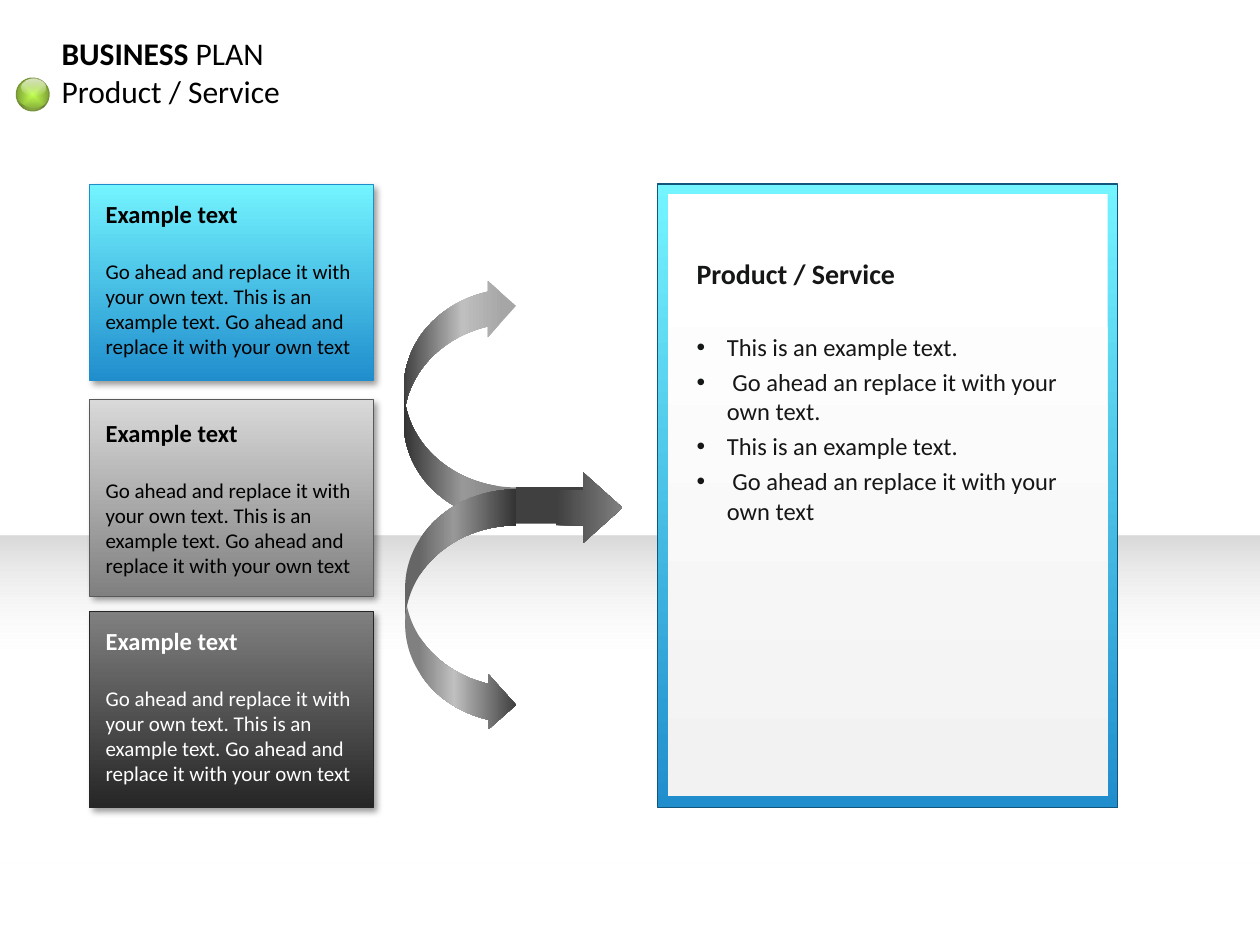
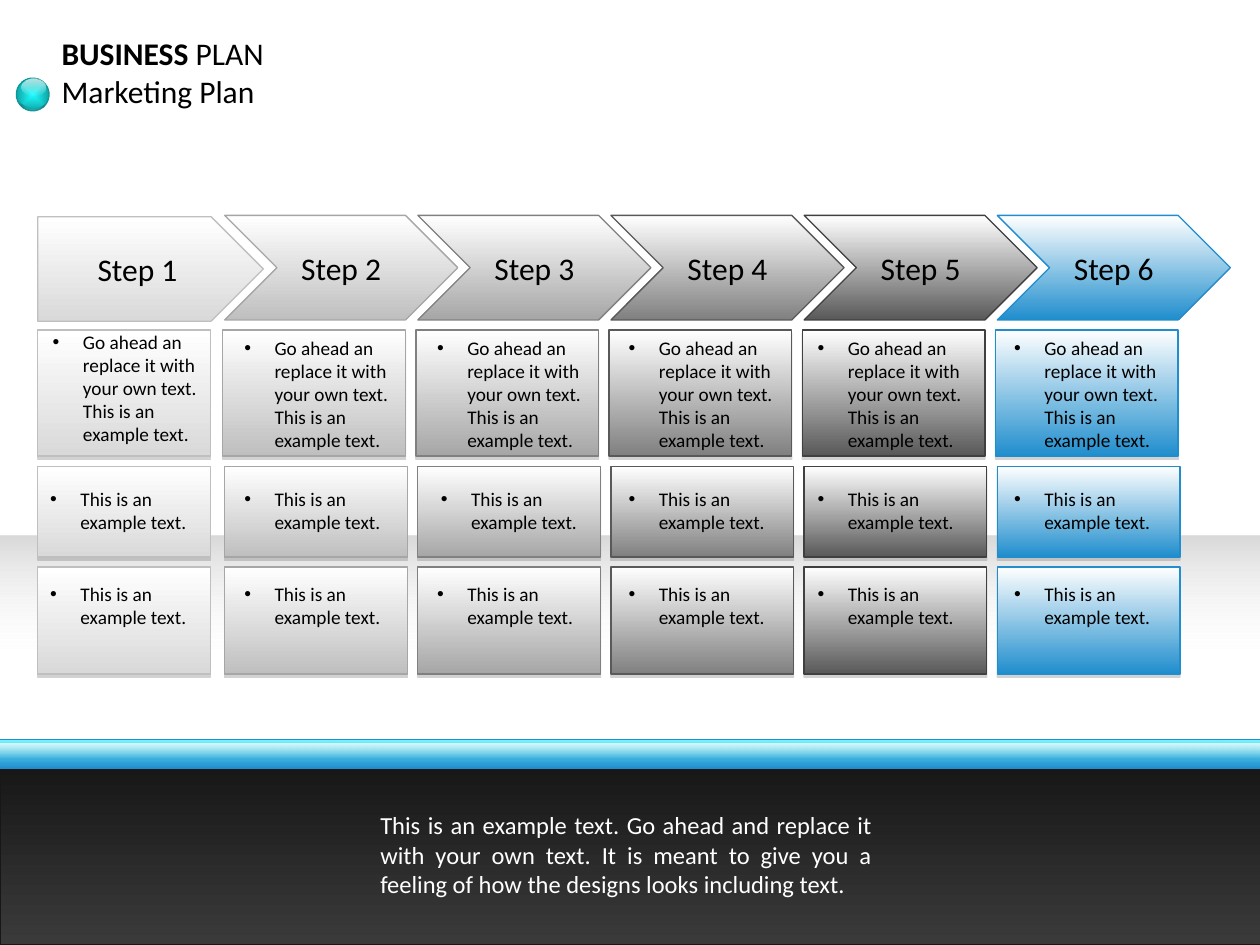
"""Build two business plan slides: Product / Service and Marketing Plan."""
from pptx import Presentation
from pptx.dml.color import RGBColor
from pptx.enum.shapes import MSO_SHAPE
from pptx.enum.text import MSO_ANCHOR, MSO_AUTO_SIZE, PP_ALIGN
from pptx.oxml import parse_xml
from pptx.oxml.ns import nsdecls, qn
from pptx.util import Inches, Pt

COLUMNS, ROWS = 10, 7.5
UNIT = Inches(1)
FONT = "Calibri"
BULLET_INDENT = 0.24
BEFORE_SHARE = 0.23

BLACK = RGBColor(0x00, 0x00, 0x00)
INK = RGBColor(0x15, 0x16, 0x16)
COAL = RGBColor(0x17, 0x17, 0x17)
NIGHT = RGBColor(0x26, 0x26, 0x26)
GRAPHITE = RGBColor(0x3A, 0x3A, 0x3A)
CHARCOAL = RGBColor(0x40, 0x40, 0x40)
SLATE = RGBColor(0x59, 0x59, 0x59)
GRAY = RGBColor(0x80, 0x80, 0x80)
ASH = RGBColor(0xA6, 0xA6, 0xA6)
SILVER = RGBColor(0xBF, 0xBF, 0xBF)
PALE = RGBColor(0xD9, 0xD9, 0xD9)
MIST = RGBColor(0xF2, 0xF2, 0xF2)
HAZE = RGBColor(0xF3, 0xF3, 0xF3)
GLOSS = RGBColor(0xFF, 0xFC, 0xF9)
WHITE = RGBColor(0xFF, 0xFF, 0xFF)
CYAN = RGBColor(0x74, 0xF4, 0xFF)
BLUE = RGBColor(0x20, 0x8E, 0xCD)
NAVY = RGBColor(0x12, 0x55, 0x7D)
LIME = RGBColor(0xC0, 0xFF, 0x4D)
OLIVE = RGBColor(0x76, 0x95, 0x35)
AQUA = RGBColor(0x1D, 0xFD, 0xFF)
TEAL = RGBColor(0x0C, 0x97, 0x99)

CARD_SHADOW = (BLACK, 40, 4, 3, 45)
CELL_SHADOW = (GRAY, 35, 0, 1.8, 90)

CARD_BODY = ("Go ahead and replace it with your own text. This is an example text. "
             "Go ahead and replace it with your own text")
CARDS = [
    (1.46, 1.53, CYAN, BLUE, BLUE, BLACK),
    (3.17, 3.27, PALE, GRAY, SLATE, BLACK),
    (4.85, 4.92, GRAY, NIGHT, NIGHT, WHITE),
]
PRODUCT_POINTS = [
    "This is an example text.",
    " Go ahead an replace it with your own text.",
    "This is an example text.",
    " Go ahead an replace it with your own text",
]
STEPS = [(PALE, SILVER), (SILVER, ASH), (ASH, GRAY),
         (GRAY, SLATE), (SLATE, CHARCOAL), (BLUE, BLUE)]
STEP_LEFT, STEP_PITCH = 0.25, 1.533
LONG_NOTE = "Go ahead an replace it with your own text. This is an example text."
SHORT_NOTE = "This is an example text."
NOTE_ROWS = [
    (2.62, 1.0, 2.62, 1.03, LONG_NOTE, [0.32, 1.84, 3.37, 4.89, 6.39, 7.95]),
    (3.7, 0.72, 3.82, 0.47, SHORT_NOTE, [0.3, 1.84, 3.4, 4.89, 6.39, 7.95]),
    (4.5, 0.85, 4.57, 0.47, SHORT_NOTE, [0.3, 1.84, 3.37, 4.89, 6.39, 7.95]),
]


def place(left, top, width, height):
    """Turn grid columns and rows into lengths."""
    return [round(part * UNIT) for part in (left, top, width, height)]


def color_xml(color, alpha=100):
    """Return the XML of a colour with an opacity in percent."""
    return (f'<a:srgbClr val="{color}"><a:alpha val="{round(alpha * 1000)}"/>'
            '</a:srgbClr>')


def paint_gradient(shape, stops, angle):
    """Fill a shape with stops of (percent, colour, opacity); angle None is radial."""
    listed = "".join(f'<a:gs pos="{stop[0] * 1000}">{color_xml(*stop[1:])}</a:gs>'
                     for stop in stops)
    if angle is None:
        course = ('<a:path path="shape"><a:fillToRect l="50000" t="50000" '
                  'r="50000" b="50000"/></a:path>')
    else:
        course = f'<a:lin ang="{angle * 60000}" scaled="0"/>'
    shape.fill.background()
    properties = shape.element.spPr
    properties.replace(properties.find(qn("a:noFill")), parse_xml(
        f'<a:gradFill {nsdecls("a")} rotWithShape="1">'
        f'<a:gsLst>{listed}</a:gsLst>{course}</a:gradFill>'))


def cast_shadow(shape, color, alpha, blur, distance, direction):
    """Give a shape an outer shadow."""
    effects = shape.element.spPr.find(qn("a:effectLst"))
    effects.append(parse_xml(
        f'<a:outerShdw {nsdecls("a")} blurRad="{Pt(blur)}" dist="{Pt(distance)}" '
        f'dir="{direction * 60000}" algn="ctr" rotWithShape="0">'
        f'{color_xml(color, alpha)}</a:outerShdw>'))


def draw(shapes, kind, box, fill, angle=90, line=None, weight=0.75, shadow=None,
         rotation=0, adjust=(), flip=False):
    """Draw a preset shape with a solid colour or a list of gradient stops."""
    shape = shapes.add_shape(kind, *place(*box))
    for index, value in enumerate(adjust):
        shape.adjustments[index] = value
    shape.rotation = rotation
    if flip:
        shape.element.spPr.find(qn("a:xfrm")).set("flipH", "1")
    if isinstance(fill, list):
        paint_gradient(shape, fill, angle)
    else:
        shape.fill.solid()
        shape.fill.fore_color.rgb = fill
    if line is None:
        shape.line.fill.background()
    else:
        shape.line.color.rgb = line
        shape.line.width = Pt(weight)
    shape.shadow.inherit = False
    if shadow:
        cast_shadow(shape, *shadow)
    return shape


def text_area(shapes, box, anchor=MSO_ANCHOR.TOP, grow=True):
    """Add a wrapping text box and return its frame."""
    frame = shapes.add_textbox(*place(*box)).text_frame
    frame.word_wrap = True
    frame.vertical_anchor = anchor
    frame.auto_size = MSO_AUTO_SIZE.SHAPE_TO_FIT_TEXT if grow else MSO_AUTO_SIZE.NONE
    return frame


def write(frame, text, size=14, color=BLACK, bold=False, lead="",
          align=PP_ALIGN.LEFT, before=0, after=0, bullet=False):
    """Write one paragraph, with an optional bold lead."""
    first = frame.paragraphs[0]
    paragraph = frame.add_paragraph() if first.runs else first
    paragraph.alignment = align
    paragraph.space_before = Pt(before)
    paragraph.space_after = Pt(after)
    for piece, heavy in ((lead, True), (text, bold)):
        if piece:
            run = paragraph.add_run()
            run.text = piece
            run.font.name = FONT
            run.font.size = Pt(size)
            run.font.bold = heavy
            run.font.color.rgb = color
    if bullet:
        properties = paragraph._p.get_or_add_pPr()
        indent = round(BULLET_INDENT * UNIT)
        properties.set("marL", str(indent))
        properties.set("indent", str(-indent))
        properties.append(parse_xml(f'<a:buFont {nsdecls("a")} typeface="Arial"/>'))
        properties.append(parse_xml(f'<a:buChar {nsdecls("a")} char="\u2022"/>'))


def start_slide(deck):
    """Add a blank slide with the shaded floor."""
    shapes = deck.slides.add_slide(deck.slide_layouts[6]).shapes
    draw(shapes, MSO_SHAPE.RECTANGLE, (0, 4.25, COLUMNS, 2.6),
         [(61, WHITE, 0), (100, PALE)], angle=270)
    return shapes


def add_title(shapes, topic, width):
    """Write the two-line title."""
    frame = text_area(shapes, (0.39, 0.22, width, 0.71))
    write(frame, " PLAN", size=18, lead="BUSINESS")
    write(frame, topic, size=18)


def add_orb(shapes, glow, rim):
    """Draw the glossy ball beside the title."""
    orb = shapes.add_group_shape().shapes
    draw(orb, MSO_SHAPE.OVAL, (0.13, 0.62, 0.26, 0.26), [(0, glow), (100, rim)],
         angle=None, line=rim, rotation=350.9)
    draw(orb, MSO_SHAPE.OVAL, (0.17, 0.62, 0.19, 0.14),
         [(0, WHITE, 0), (100, GLOSS, 77)], angle=270)
    draw(orb, MSO_SHAPE.MOON, (0.2, 0.69, 0.12, 0.26),
         [(24, BLACK, 24), (100, WHITE, 0)], angle=None, rotation=275.9, adjust=[0.19])


def add_cards(shapes):
    """Draw the three cards on the left and write their text."""
    for top, text_top, light, dark, edge, ink in CARDS:
        draw(shapes, MSO_SHAPE.RECTANGLE, (0.71, top, 2.25, 1.56),
             [(0, light), (100, dark)], line=edge, weight=0.25, shadow=CARD_SHADOW)
        frame = text_area(shapes, (0.74, text_top, 2.17, 1.38))
        write(frame, "Example text", color=ink, bold=True, after=17)
        write(frame, CARD_BODY, size=12, color=ink)


def add_arrows(shapes):
    """Draw the two curved arrows that meet in a straight one."""
    arrows = shapes.add_group_shape().shapes
    draw(arrows, MSO_SHAPE.CURVED_UP_ARROW, (2.68, 2.73, 1.94, 0.89),
         [(11, ASH), (48, SILVER), (100, CHARCOAL)], angle=90, rotation=90,
         adjust=[0.311, 0.5, 0.25], flip=True)
    draw(arrows, MSO_SHAPE.CURVED_UP_ARROW, (2.69, 4.41, 1.93, 0.88),
         [(12, GRAY), (44, SILVER), (100, CHARCOAL)], angle=270, rotation=90,
         adjust=[0.324, 0.5, 0.25])
    draw(arrows, MSO_SHAPE.RECTANGLE, (4.28, 3.68, 0.29, 0.66), CHARCOAL, rotation=270)
    draw(arrows, MSO_SHAPE.RIGHT_ARROW, (4.41, 3.75, 0.53, 0.56),
         [(0, CHARCOAL), (100, GRAY)], angle=0, adjust=[0.5, 0.586])


def add_product_panel(shapes):
    """Draw the framed panel and write its bullets."""
    draw(shapes, MSO_SHAPE.RECTANGLE, (5.22, 1.46, 3.65, 4.95),
         [(0, CYAN), (100, BLUE)], line=NAVY)
    draw(shapes, MSO_SHAPE.RECTANGLE, (5.3, 1.54, 3.49, 4.78), [(9, WHITE), (100, MIST)])
    frame = text_area(shapes, (5.43, 1.99, 3.25, 2.26))
    write(frame, "Product / Service", size=16, color=INK, bold=True,
          before=16 * BEFORE_SHARE, after=20.4)
    for point in PRODUCT_POINTS:
        write(frame, point, color=INK, before=14 * BEFORE_SHARE, bullet=True)


def add_steps(shapes):
    """Draw the row of step arrows."""
    for index, (shade, edge) in enumerate(STEPS):
        if index:
            kind = MSO_SHAPE.CHEVRON
            box = (STEP_LEFT + index * STEP_PITCH, 1.71, 1.85, 0.83)
        else:
            kind, box = MSO_SHAPE.PENTAGON, (0.3, 1.72, 1.79, 0.83)
        step = draw(shapes, kind, box, [(0, WHITE), (100, shade)], line=edge,
                    adjust=[0.5])
        step.text_frame.vertical_anchor = MSO_ANCHOR.MIDDLE
        write(step.text_frame, f"Step {index + 1}", size=18, align=PP_ALIGN.CENTER)


def add_notes_grid(shapes):
    """Draw the cells below each step and write their notes."""
    for row, (top, height, note_top, note_height, note, note_lefts) in enumerate(NOTE_ROWS):
        for index, (shade, edge) in enumerate(STEPS):
            nudge = 0 if row else 0.015
            left = STEP_LEFT + index * STEP_PITCH - nudge if index else 0.3
            draw(shapes, MSO_SHAPE.RECTANGLE,
                 (left, top, 1.45 if index else 1.37, height),
                 [(0, WHITE), (100, shade)], line=edge, shadow=CELL_SHADOW)
            lift = 0 if row or index else 0.05
            frame = text_area(shapes, (note_lefts[index], note_top - lift, 1.35, note_height))
            write(frame, note, size=11, before=11 * BEFORE_SHARE, bullet=True)


def add_footer(shapes):
    """Draw the dark footer with its blue band and closing text."""
    footer = shapes.add_group_shape().shapes
    draw(footer, MSO_SHAPE.RECTANGLE, (0, 6.07, 10.09, 1.43),
         [(0, GRAPHITE), (100, COAL)], angle=270, line=COAL)
    draw(footer, MSO_SHAPE.RECTANGLE, (-0.04, 5.87, 10.17, 0.23),
         [(0, CYAN), (100, BLUE)], line=BLUE)
    draw(footer, MSO_SHAPE.RECTANGLE, (-0.04, 5.9, 10.17, 0.11),
         [(0, HAZE, 0), (100, GLOSS, 79)], angle=270)
    frame = text_area(footer, (2.92, 6.41, 4.1, 0.77), MSO_ANCHOR.BOTTOM, grow=False)
    write(frame, "This is an example text. Go ahead and replace it with your own text. "
          "It is meant to give you a feeling of how the designs looks including text.",
          color=WHITE, align=PP_ALIGN.JUSTIFY, before=14 * BEFORE_SHARE)


def main():
    """Build and save both slides."""
    deck = Presentation()
    deck.slide_width, deck.slide_height = round(COLUMNS * UNIT), round(ROWS * UNIT)

    product = start_slide(deck)
    add_cards(product)
    add_arrows(product)
    add_title(product, "Product / Service", 2.28)
    add_product_panel(product)
    add_orb(product, LIME, OLIVE)

    marketing = start_slide(deck)
    add_steps(marketing)
    add_notes_grid(marketing)
    add_title(marketing, "Marketing Plan", 1.96)
    add_orb(marketing, AQUA, TEAL)
    add_footer(marketing)

    deck.save("out.pptx")


main()
